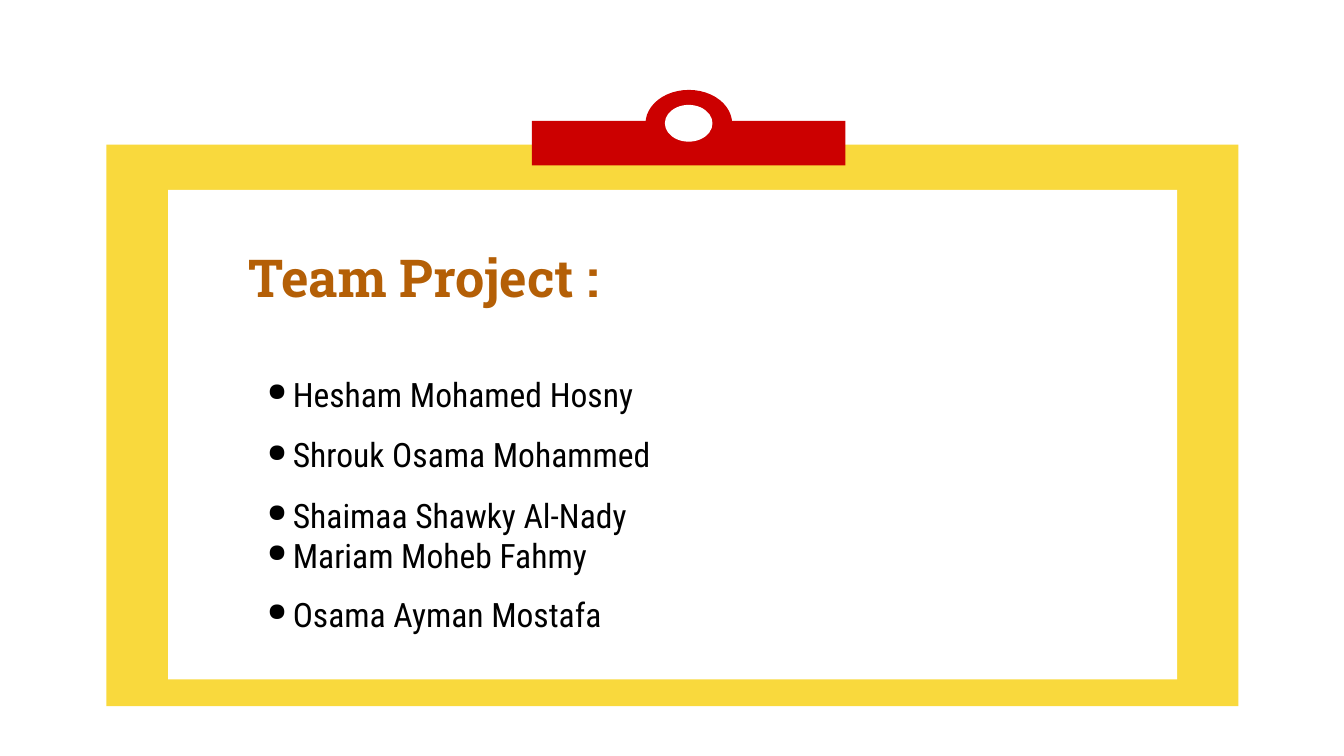
"""Build a clipboard slide that lists the members of a project team."""
from lxml import etree
from pptx import Presentation
from pptx.dml.color import RGBColor
from pptx.enum.shapes import MSO_SHAPE
from pptx.enum.text import MSO_ANCHOR
from pptx.oxml.ns import qn
from pptx.util import Pt

RECTANGLE, PIE, OVAL = MSO_SHAPE.RECTANGLE, MSO_SHAPE.PIE, MSO_SHAPE.OVAL
TOP, MIDDLE = MSO_ANCHOR.TOP, MSO_ANCHOR.MIDDLE
YELLOW = RGBColor(0xF9, 0xD9, 0x3D)
WHITE = RGBColor(0xFF, 0xFF, 0xFF)
RED = RGBColor(0xCC, 0x00, 0x00)
BROWN = RGBColor(0xB4, 0x5F, 0x06)
BLACK = RGBColor(0x00, 0x00, 0x00)


def add_text_box(slide, left, top, width, height, anchor, inset):
    box = slide.shapes.add_textbox(Pt(left), Pt(top), Pt(width), Pt(height))
    frame = box.text_frame
    frame.word_wrap = True
    frame.vertical_anchor = anchor
    frame.margin_left = frame.margin_right = Pt(7.2)
    frame.margin_top = frame.margin_bottom = Pt(inset)
    return frame


def add_span(para, text, size, font, color, bold=False):
    span = para.add_run()
    span.text = text
    span.font.size = Pt(size)
    span.font.name = font
    span.font.color.rgb = color
    span.font.bold = bold


deck = Presentation()
deck.slide_width, deck.slide_height = Pt(720), Pt(405)
slide = deck.slides.add_slide(deck.slide_layouts[6])

clipboard = [
    (RECTANGLE, 57, 77.5, 606.5, 300.8, YELLOW),
    (RECTANGLE, 90, 101.7, 540.6, 262.3, WHITE),
    (RECTANGLE, 285, 64.8, 167.9, 23.8, RED),
    (PIE, 345.8, 48.2, 46.4, 36, RED),
    (OVAL, 356.2, 56.2, 25.5, 19.7, WHITE),
]
for kind, left, top, width, height, color in clipboard:
    part = slide.shapes.add_shape(kind, Pt(left), Pt(top), Pt(width), Pt(height))
    part.shadow.inherit = False
    part.fill.solid()
    part.fill.fore_color.rgb = color
    part.line.fill.background()
    if kind == PIE:
        part.adjustments[0] = 108
        part.adjustments[1] = 0

title = add_text_box(slide, 126, 137.5, 286.6, 32.4, TOP, 9).paragraphs[0]
title.line_spacing = 0.5
add_span(title, "Team Project :", 28, "Roboto Slab", BROWN, True)

members = [
    ("Hesham Mohamed Hosny", 1.5, 0),
    ("Shrouk Osama Mohammed", 1.5, 0),
    ("Shaimaa Shawky Al-Nady", 1.5, 0),
    ("Mariam Moheb Fahmy", 1, 0),
    ("Osama Ayman Mostafa", 1, 10),
]
frame = add_text_box(slide, 136, 169.8, 338.4, 189.4, MIDDLE, 3.6)
for index, (member, spacing, before) in enumerate(members):
    para = frame.add_paragraph() if index else frame.paragraphs[0]
    para.line_spacing = spacing
    para.space_before = Pt(before)
    add_span(para, member, 18, "Roboto Condensed", BLACK)
    properties = para._p.get_or_add_pPr()
    properties.set("marL", str(Pt(13.8)))
    properties.set("indent", str(Pt(-13.8)))
    bullet_color = etree.SubElement(properties, qn("a:buClr"))
    etree.SubElement(bullet_color, qn("a:srgbClr"), val=str(BLACK))
    etree.SubElement(properties, qn("a:buSzPct"), val="75000")
    etree.SubElement(properties, qn("a:buChar"), char="●")

deck.save("out.pptx")
